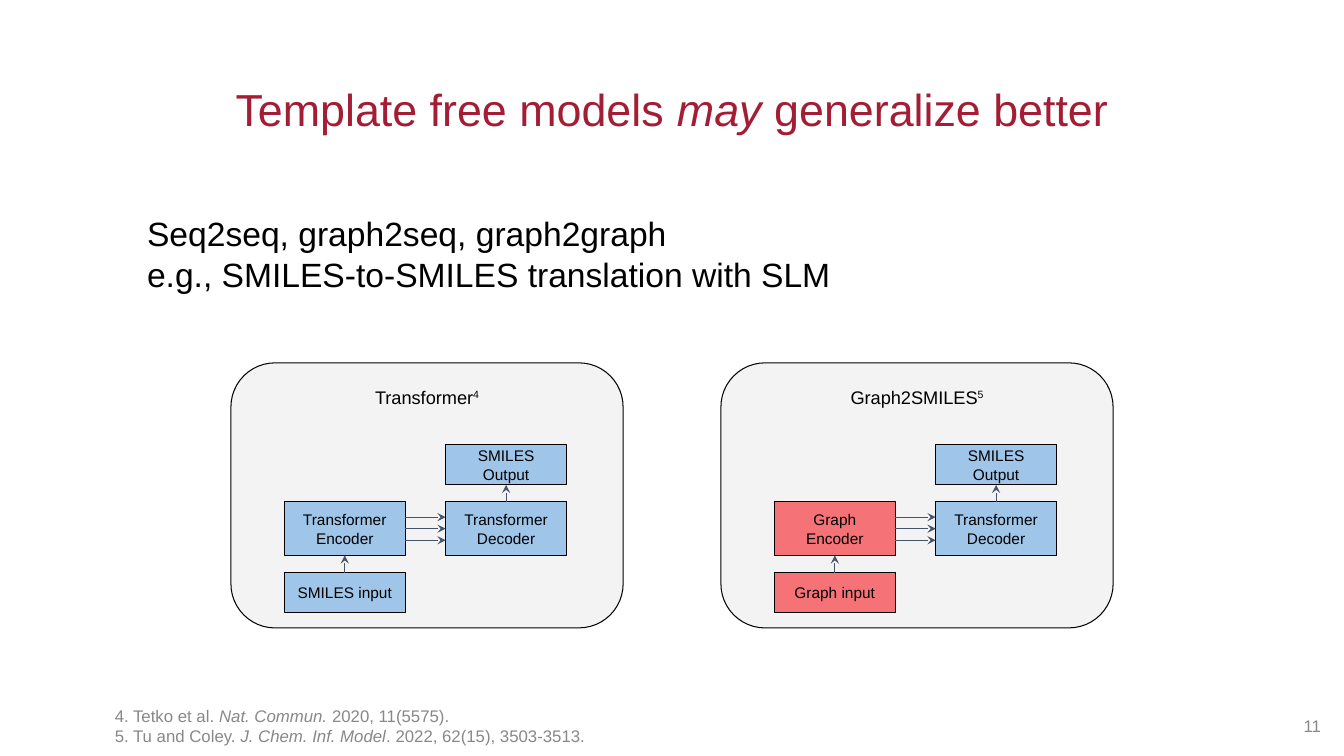
"""Build the slide on template free models."""
from lxml import etree
from pptx import Presentation
from pptx.dml.color import RGBColor
from pptx.enum import shapes, text
from pptx.oxml import ns
from pptx.util import Inches, Pt

COLORS = {"title": "A31E35", "text": "000000", "muted": "888888", "panel": "F3F3F3",
          "blue": "9FC5E8", "red": "F57377", "arrow": "44546A"}
FONT = "Arial"
LEFT, CENTER, RIGHT = text.PP_ALIGN.LEFT, text.PP_ALIGN.CENTER, text.PP_ALIGN.RIGHT
TOP, MIDDLE = text.MSO_ANCHOR.TOP, text.MSO_ANCHOR.MIDDLE

TITLE = [[("Template free models ", ""), ("may ", "italic"), ("generalize better", "")]]
BODY = [[("Seq2seq, graph2seq, graph2graph", "")],
        [("e.g., SMILES-to-SMILES translation with SLM", "")]]
REFERENCES = [
    [("4. Tetko et al. ", ""), ("Nat. Commun.", "italic"), (" 2020, 11(5575).", "")],
    [("5. Tu and Coley. ", ""), ("J. Chem. Inf. Model", "italic"),
     (". 2022, 62(15), 3503-3513.", "")],
]
PAGE_NUMBER = [[("11", "")]]
MODELS = [
    {"name": "Transformer", "reference": "4", "encoder": "Transformer Encoder",
     "input": "SMILES input", "color": "blue"},
    {"name": "Graph2SMILES", "reference": "5", "encoder": "Graph Encoder",
     "input": "Graph input", "color": "red"},
]

PANEL_LEFT, PANEL_TOP, PANEL_STEP = 2.29, 3.6, 4.86
PANEL_WIDTH, PANEL_HEIGHT = 3.89, 2.63
BOX_WIDTH, CODER_HEIGHT, END_HEIGHT = 1.2, 0.53, 0.4
BOX_INDENT, COLUMN_GAP, ROW_GAP = 0.53, 0.4, 0.17
CODER_TOP, LINK_GAP = 4.98, 0.115


def write(shape, paragraphs, size, color, align, anchor, inset):
    """Fill a shape with formatted paragraphs of (words, style) runs."""
    frame = shape.text_frame
    frame.word_wrap = True
    frame.vertical_anchor = anchor
    frame.margin_left = frame.margin_right = Inches(0.1)
    frame.margin_top = frame.margin_bottom = Inches(inset)
    for index, runs in enumerate(paragraphs):
        paragraph = frame.add_paragraph() if index else frame.paragraphs[0]
        paragraph.alignment = align
        for words, style in runs:
            run = paragraph.add_run()
            run.text = words
            run.font.name = FONT
            run.font.size = Pt(size)
            run.font.color.rgb = RGBColor.from_string(COLORS[color])
            if style == "italic":
                run.font.italic = True
            elif style == "superscript":
                run.font._element.set("baseline", "30000")


def add_text(slide, place, paragraphs, size, color, align=LEFT, anchor=MIDDLE):
    """Add a text box and return its paragraphs."""
    box = slide.shapes.add_textbox(*map(Inches, place))
    write(box, paragraphs, size, color, align, anchor, 0.05)
    return box.text_frame.paragraphs


def add_box(slide, kind, place, fill, runs, size, anchor=MIDDLE):
    """Add an outlined, filled shape with centred text."""
    shape = slide.shapes.add_shape(kind, *map(Inches, place))
    shape.shadow.inherit = False
    shape.fill.solid()
    shape.fill.fore_color.rgb = RGBColor.from_string(COLORS[fill])
    shape.line.color.rgb = RGBColor.from_string(COLORS["text"])
    shape.line.width = Pt(0.75)
    write(shape, [runs], size, "text", CENTER, anchor, 0.1)


def add_arrow(slide, start, end):
    """Add a thin arrow with a stealth head at its end."""
    arrow = slide.shapes.add_connector(
        shapes.MSO_CONNECTOR.STRAIGHT, *map(Inches, start + end))
    arrow.line.color.rgb = RGBColor.from_string(COLORS["arrow"])
    arrow.line.width = Pt(0.75)
    etree.SubElement(arrow.line._get_or_add_ln(), ns.qn("a:tailEnd"), type="stealth")
    etree.SubElement(arrow._element.spPr, ns.qn("a:effectLst"))


def add_model(slide, left, model):
    """Draw one model panel with its boxes and arrows."""
    add_box(slide, shapes.MSO_SHAPE.ROUNDED_RECTANGLE,
            (left, PANEL_TOP, PANEL_WIDTH, PANEL_HEIGHT), "panel",
            [(model["name"], ""), (model["reference"], "superscript")], 13, TOP)
    encoder_left = left + BOX_INDENT
    encoder_right = encoder_left + BOX_WIDTH
    decoder_left = encoder_right + COLUMN_GAP
    coder_bottom = CODER_TOP + CODER_HEIGHT
    input_top = coder_bottom + ROW_GAP
    output_bottom = CODER_TOP - ROW_GAP
    boxes = [
        (encoder_left, CODER_TOP, CODER_HEIGHT, model["color"], model["encoder"]),
        (decoder_left, CODER_TOP, CODER_HEIGHT, "blue", "Transformer Decoder"),
        (encoder_left, input_top, END_HEIGHT, model["color"], model["input"]),
        (decoder_left, output_bottom - END_HEIGHT, END_HEIGHT, "blue", "SMILES Output"),
    ]
    for box_left, top, height, fill, label in boxes:
        add_box(slide, shapes.MSO_SHAPE.RECTANGLE, (box_left, top, BOX_WIDTH, height),
                fill, [(label, "")], 11)
    encoder_center = encoder_left + BOX_WIDTH / 2
    decoder_center = decoder_left + BOX_WIDTH / 2
    add_arrow(slide, (encoder_center, input_top), (encoder_center, coder_bottom))
    add_arrow(slide, (decoder_center, CODER_TOP), (decoder_center, output_bottom))
    for step in (-1, 0, 1):
        link_y = CODER_TOP + CODER_HEIGHT / 2 + step * LINK_GAP
        add_arrow(slide, (encoder_right, link_y), (decoder_left, link_y))


def main():
    """Build and save the presentation."""
    presentation = Presentation()
    presentation.slide_width, presentation.slide_height = Inches(13.33), Inches(7.5)
    slide = presentation.slides.add_slide(presentation.slide_layouts[6])
    title = add_text(slide, (0.8, 0.74, 11.73, 0.74), TITLE, 32, "title", CENTER)
    title[0].line_spacing = 0.9
    add_text(slide, (1.04, 7, 11, 0.4), REFERENCES, 12, "muted")
    add_text(slide, (12.17, 7, 1.03, 0.4), PAGE_NUMBER, 12, "muted", RIGHT)
    body = add_text(slide, (1.36, 2.06, 11.69, 1), BODY, 24, "text", anchor=TOP)
    body[1].space_before = Pt(1)
    for index, model in enumerate(MODELS):
        add_model(slide, PANEL_LEFT + index * PANEL_STEP, model)
    presentation.save("out.pptx")


if __name__ == "__main__":
    main()
